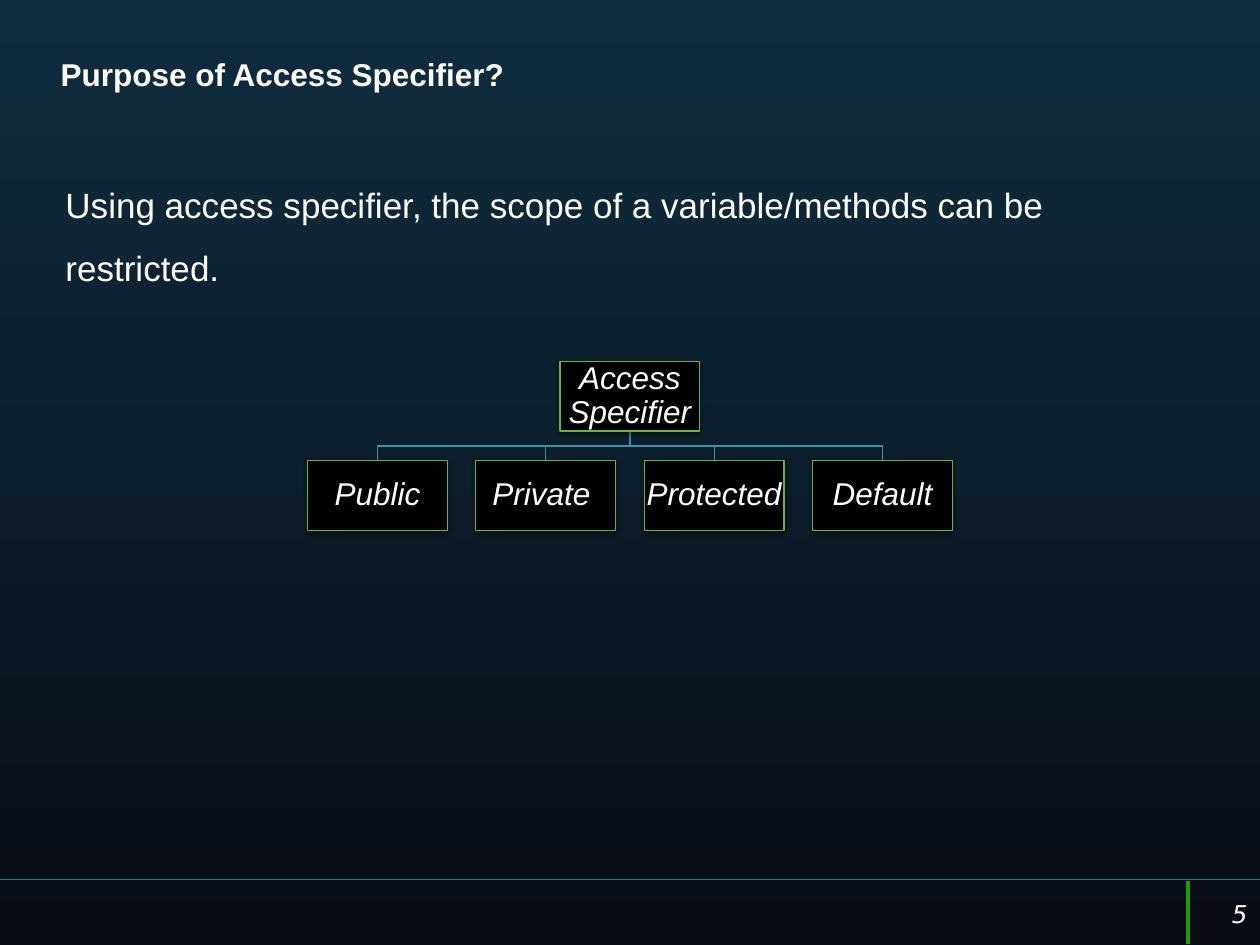
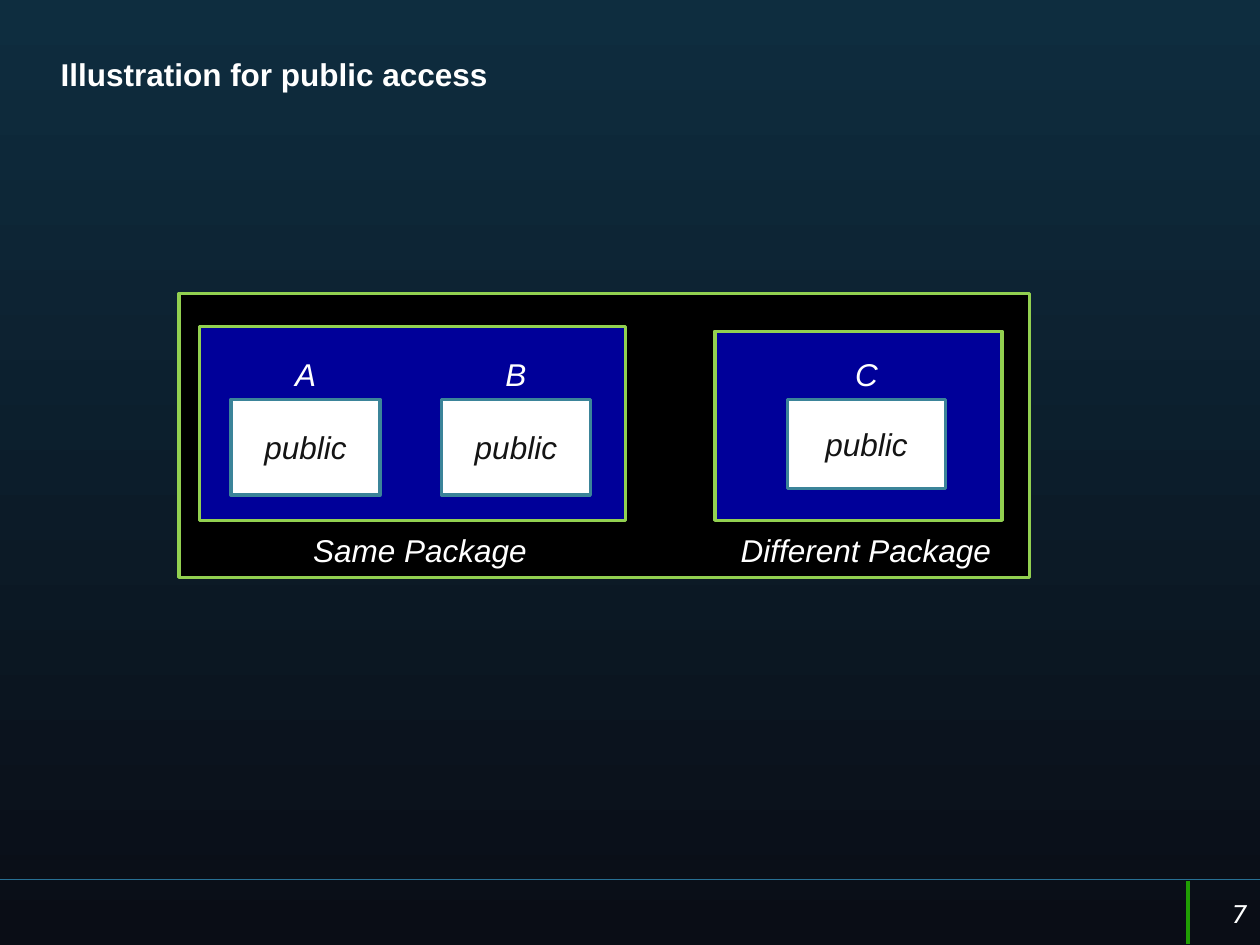
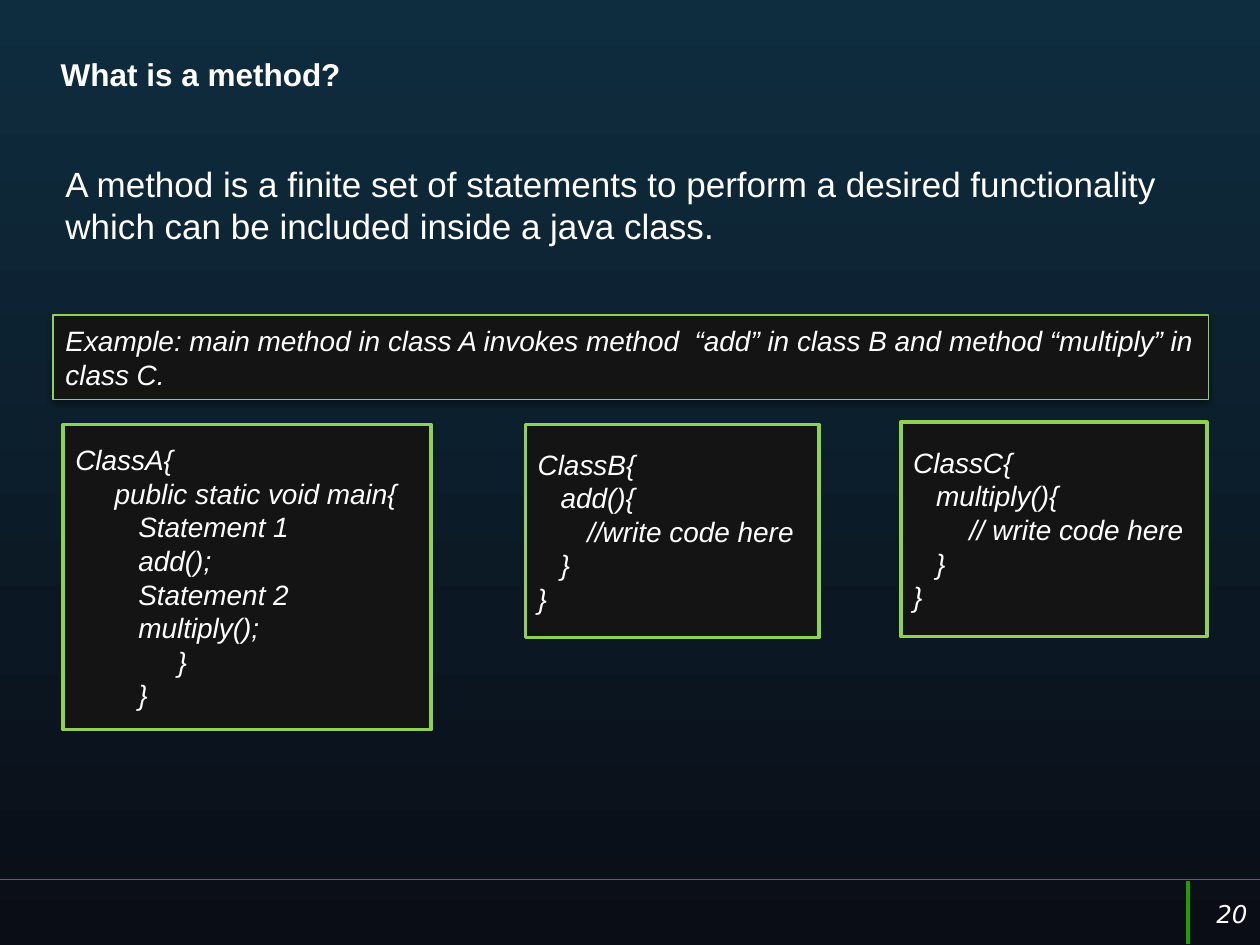
import dataclasses
import typing

import lxml.etree
import pptx
import pptx.dml.color
import pptx.enum.shapes
import pptx.enum.text
import pptx.oxml.ns
import pptx.util

Cm = pptx.util.Cm
Pt = pptx.util.Pt
Align = pptx.enum.text.PP_ALIGN
Anchor = pptx.enum.text.MSO_ANCHOR
Preset = pptx.enum.shapes.MSO_SHAPE
TITLE_ONLY = 5


# Colours, fonts and type sizes
@dataclasses.dataclass(frozen=True)
class Theme:
    sky: str = "0E2D3F"
    night: str = "0A0D16"
    white: str = "FFFFFF"
    black: str = "000000"
    ink: str = "141414"
    navy: str = "000099"
    lime: str = "92D050"
    leaf: str = "6DB33F"
    green: str = "209D03"
    teal: str = "3B8499"
    branch: str = "408FA6"
    rule: str = "287094"
    font: str = "Arial"
    number_font: str = "DejaVu Sans"
    body_size: int = 20
    label_size: int = 18
    code_size: int = 16
    number_size: int = 14
    thick: float = 2
    thin: float = 0.75


THEME = Theme()


class Box(typing.NamedTuple):
    """A rectangle in centimetres."""
    left: float
    top: float
    width: float
    height: float

    def inside(self, dx, dy, width, height):
        return Box(self.left + dx, self.top + dy, width, height)

    def lengths(self):
        return [Cm(value) for value in self]


# Shared drawing helpers
def rgb(colour):
    return pptx.dml.color.RGBColor.from_string(colour)


def apply(target, values):
    for name, value in values.items():
        setattr(target, name, value)


def write(frame, lines, size, colour=THEME.white, font=THEME.font, align=Align.LEFT,
          anchor=Anchor.MIDDLE, bold=False, italic=True, margin=None, **spacing):
    """Fill a text frame with (indent in cm, text) lines."""
    apply(frame, {"word_wrap": True, "vertical_anchor": anchor})
    if margin is not None:
        sides = ("left", "top", "right", "bottom")
        apply(frame, {f"margin_{side}": Cm(margin) for side in sides})
    for index, (indent, text) in enumerate(lines):
        paragraph = frame.add_paragraph() if index else frame.paragraphs[0]
        apply(paragraph, {"alignment": align, **spacing})
        if indent:
            paragraph._p.get_or_add_pPr().set("marL", str(Cm(indent)))
        run = paragraph.add_run()
        run.text = text
        apply(run.font, {"name": font, "size": Pt(size), "bold": bold, "italic": italic})
        run.font.color.rgb = rgb(colour)


def add_text(slide, box, text, size, **style):
    label = slide.shapes.add_textbox(*box.lengths())
    write(label.text_frame, [(0, text)], size, **style)


def set_line(part, colour, width):
    part.line.color.rgb = rgb(colour)
    part.line.width = Pt(width)


def add_panel(slide, box, fill, outline, width=THEME.thick, preset=Preset.RECTANGLE):
    panel = slide.shapes.add_shape(preset, *box.lengths())
    panel.shadow.inherit = False
    panel.fill.solid()
    panel.fill.fore_color.rgb = rgb(fill)
    set_line(panel, outline, width)
    return panel


def cast_shadow(panel, opacity):
    qn = pptx.oxml.ns.qn
    effects = panel.element.spPr.find(qn("a:effectLst"))
    shadow = lxml.etree.SubElement(
        effects, qn("a:outerShdw"), blurRad=str(Pt(3.1)), dist=str(Pt(1.8)),
        dir="5400000", algn="ctr", rotWithShape="0")
    colour = lxml.etree.SubElement(shadow, qn("a:srgbClr"), val=THEME.black)
    lxml.etree.SubElement(colour, qn("a:alpha"), val=str(opacity * 1000))


def add_rule(slide, start, end, colour, width):
    rule = slide.shapes.add_connector(
        pptx.enum.shapes.MSO_CONNECTOR.STRAIGHT, *map(Cm, start + end))
    set_line(rule, colour, width)
    lxml.etree.SubElement(rule.element.spPr, pptx.oxml.ns.qn("a:effectLst"))


# Frame common to every slide
def paint_background(master):
    fill = master.background.fill
    fill.gradient()
    fill.gradient_angle = 270
    for stop, colour in zip(fill.gradient_stops, (THEME.sky, THEME.night)):
        stop.color.rgb = rgb(colour)


def add_footer(slide, box, number):
    divider = box.left + 23.95
    add_rule(slide, (box.left + box.width, box.top), (box.left, box.top),
             THEME.rule, THEME.thin)
    add_rule(slide, (divider, box.top + 0.02), (divider, box.top + 1.29),
             THEME.green, THEME.thick)
    add_text(slide, box.inside(23.93, 0.05, 1.47, 1.27), str(number),
             THEME.number_size, font=THEME.number_font, align=Align.RIGHT)


def start_slide(deck, title, number):
    slide = deck.slides.add_slide(deck.slide_layouts[TITLE_ONLY])
    heading = slide.shapes.title
    position = Box(0.97, 0.99, 23.32, 1.68).lengths()
    apply(heading, dict(zip(("left", "top", "width", "height"), position)))
    write(heading.text_frame, [(0, title)], THEME.label_size,
          anchor=Anchor.TOP, bold=True, italic=False)
    add_footer(slide, Box(0, 17.73, 25.4, 1.32), number)
    return slide


def add_statement(slide, text, line_spacing):
    add_text(slide, Box(1.07, 3.15, 23.29, 12.85), text, THEME.body_size,
             anchor=Anchor.TOP, italic=False, line_spacing=line_spacing,
             space_before=Pt(4))


# Tree of one root and a row of evenly spaced children
def add_tree(slide, box, root, children):
    width, height = 2.82, 1.4
    step = (box.width - width) / (len(children) - 1)
    child_top = box.height - height
    middle = box.left + box.width / 2
    bus = box.top + (height + child_top) / 2
    nodes = [(root, box.inside((box.width - width) / 2, 0, width, height))]
    nodes += [(child, box.inside(index * step, child_top, width, height))
              for index, child in enumerate(children)]

    for _, node in nodes[1:]:
        centre = node.left + width / 2
        builder = slide.shapes.build_freeform(Cm(middle), Cm(box.top + height))
        bends = [(middle, bus), (centre, bus), (centre, node.top)]
        builder.add_line_segments([(Cm(x), Cm(y)) for x, y in bends], close=False)
        branch = builder.convert_to_shape()
        branch.shadow.inherit = False
        branch.fill.background()
        set_line(branch, THEME.branch, THEME.thin)

    for text, node in nodes:
        panel = add_panel(slide, node, THEME.black, THEME.leaf, THEME.thin)
        cast_shadow(panel, 35)
        write(panel.text_frame, [(0, text)], THEME.label_size, align=Align.CENTER,
              margin=0.03, line_spacing=0.9)


# Package with its caption below and named classes inside
def add_package(slide, box, caption, classes):
    centred = {"size": THEME.label_size, "align": Align.CENTER}
    add_panel(slide, box, THEME.navy, THEME.lime)
    add_text(slide, box.inside(0.15, box.height + 0.1, box.width, 1), caption, **centred)
    for name, place in classes:
        class_box = box.inside(*place)
        panel = add_panel(slide, class_box, THEME.white, THEME.teal,
                          preset=Preset.FLOWCHART_PROCESS)
        write(panel.text_frame, [(0, "public")], colour=THEME.ink, **centred)
        add_text(slide, class_box.inside(0, -1.02, class_box.width, 1.02), name, **centred)


def add_code(slide, box, lines):
    panel = add_panel(slide, box, THEME.ink, THEME.lime, preset=Preset.FLOWCHART_PROCESS)
    write(panel.text_frame, lines, THEME.code_size)


def short_class(name, method, comment, comment_indent):
    return [(0, f"{name}{{"), (0.46, f"{method}(){{"), (comment_indent, comment),
            (0.46, "}"), (0, "}")]


# Slides
def purpose_slide(deck):
    slide = start_slide(deck, "Purpose of Access Specifier?", 5)
    add_statement(slide, "Using access specifier, the scope of a variable/methods "
                  "can be restricted.", 1.5)
    add_tree(slide, Box(6.2, 7.29, 13, 3.4), "Access Specifier",
             ["Public", "Private ", "Protected", "Default"])


def public_access_slide(deck):
    slide = start_slide(deck, "Illustration for public access", 7)
    project = Box(3.61, 5.92, 17.15, 5.72)
    add_panel(slide, project, THEME.black, THEME.lime)
    add_package(slide, project.inside(0.41, 0.66, 8.59, 3.91), "Same Package",
                [("A", (0.64, 1.47, 3, 1.93)), ("B", (4.88, 1.47, 3, 1.93))])
    add_package(slide, project.inside(10.8, 0.76, 5.79, 3.81), "Different Package",
                [("C", (1.47, 1.37, 3.18, 1.8))])


def method_slide(deck):
    slide = start_slide(deck, "What is a method?", 20)
    add_statement(slide, "A method is a finite set of statements to perform a desired "
                  "functionality which can be included inside a java class.", 1.0)
    example = Box(1.07, 6.35, 23.29, 8.36)
    main_class = [(0, "ClassA{"), (0.79, "public static void main{")]
    main_class += [(1.27, step) for step in
                   ("Statement 1", "add();", "Statement 2", "multiply();")]
    main_class += [(2.06, "}"), (1.27, "}")]
    add_code(slide, example.inside(0.2, 2.21, 7.42, 6.15), main_class)
    add_code(slide, example.inside(9.52, 2.21, 5.92, 4.29),
             short_class("ClassB", "add", "//write code here", 1))
    add_code(slide, example.inside(17.09, 2.16, 6.17, 4.32),
             short_class("ClassC", "multiply", "// write code here", 1.13))
    banner = add_panel(slide, example.inside(0, 0, example.width, 1.7),
                       THEME.ink, THEME.lime, THEME.thin)
    cast_shadow(banner, 38)
    write(banner.text_frame, [(0, "Example: main method in class A invokes method  “add” "
                               "in class B and method “multiply” in class C.")],
          THEME.code_size)


def main():
    deck = pptx.Presentation()
    apply(deck, {"slide_width": Cm(25.4), "slide_height": Cm(19.05)})
    paint_background(deck.slide_master)
    purpose_slide(deck)
    public_access_slide(deck)
    method_slide(deck)
    deck.save("out.pptx")


if __name__ == "__main__":
    main()
